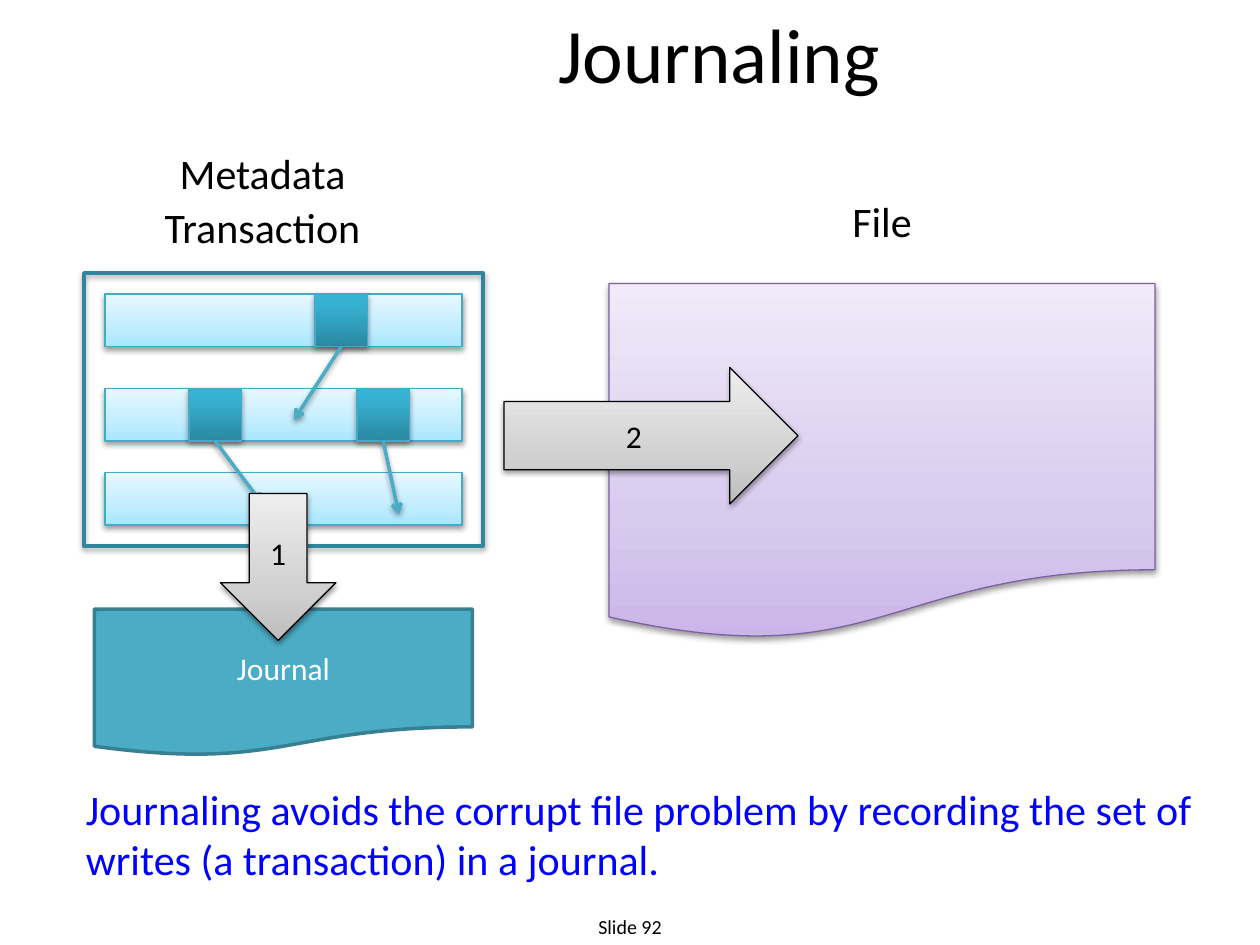
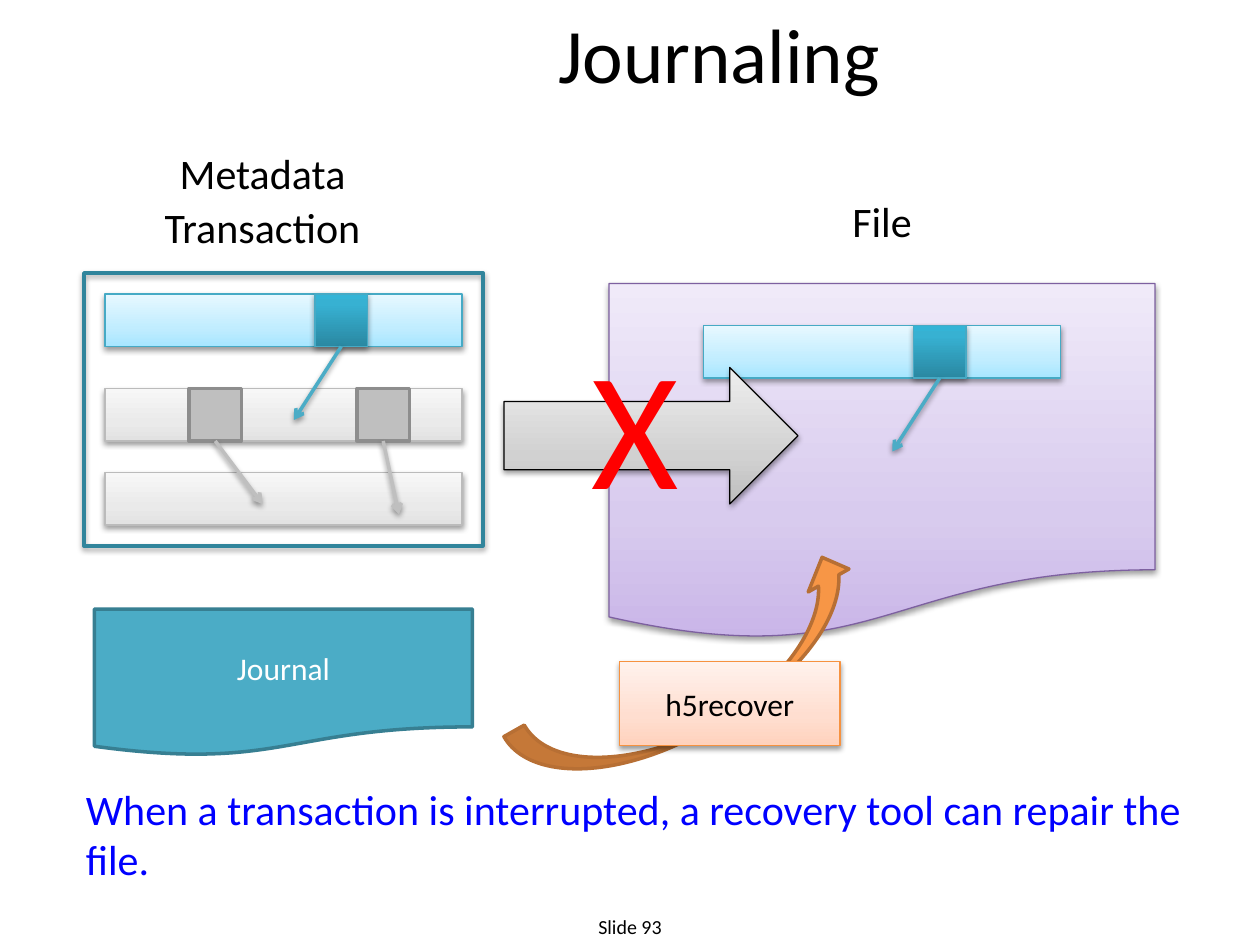
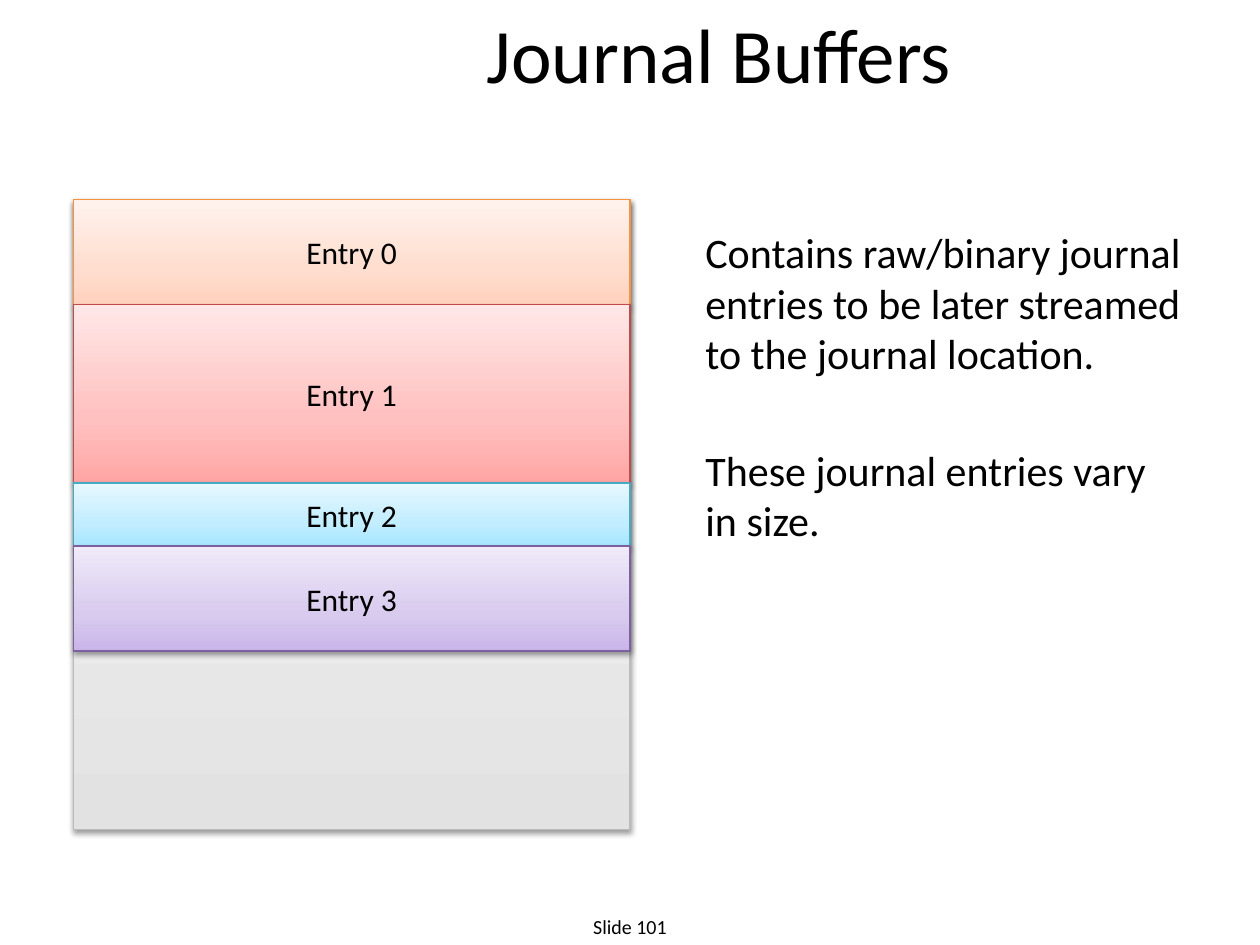
from collections import namedtuple

from pptx import Presentation
from pptx import util as u
from pptx.dml.color import RGBColor
from pptx.enum import shapes, text
from pptx.oxml import parse_xml
from pptx.oxml.ns import nsdecls

Style = namedtuple("Style", "fills line width middle", defaults=(0.75, 35))

GRID = u.Cm(2.54) // 12
FONT = "Calibri"
BLACK = RGBColor(0x00, 0x00, 0x00)
WHITE = RGBColor(0xFF, 0xFF, 0xFF)
BLUE = RGBColor(0x00, 0x00, 0xFF)
RED = RGBColor(0xFF, 0x00, 0x00)
TEAL = RGBColor(0x4B, 0xAC, 0xC6)
TEAL_EDGE = RGBColor(0x46, 0xAA, 0xC5)
TEAL_FRAME = RGBColor(0x31, 0x85, 0x9C)
TEAL_DARK = RGBColor(0x37, 0x7F, 0x92)
GREY = RGBColor(0xBF, 0xBF, 0xBF)
GREY_EDGE = RGBColor(0xBB, 0xBB, 0xBB)
GREY_DARK = RGBColor(0x8D, 0x8D, 0x8D)
PURPLE_EDGE = RGBColor(0x7D, 0x60, 0xA0)
ORANGE = RGBColor(0xF7, 0x96, 0x46)
ORANGE_EDGE = RGBColor(0xF6, 0x92, 0x40)
ORANGE_DARK = RGBColor(0xB7, 0x6F, 0x34)
RED_EDGE = RGBColor(0xBF, 0x4C, 0x48)
PURPLES = (RGBColor(0xC9, 0xB5, 0xE8), RGBColor(0xD8, 0xCB, 0xEE), RGBColor(0xF0, 0xEA, 0xF9))
LIGHT_TEALS = (RGBColor(0xA7, 0xE6, 0xFF), RGBColor(0xC1, 0xED, 0xFF), RGBColor(0xE7, 0xF8, 0xFF))
DEEP_TEALS = (RGBColor(0x2A, 0x88, 0xA2), RGBColor(0x37, 0xB1, 0xD2), RGBColor(0x34, 0xB4, 0xD6))
LIGHT_GREYS = (RGBColor(0xE2, 0xE2, 0xE2), RGBColor(0xEA, 0xEA, 0xEA), RGBColor(0xF7, 0xF7, 0xF7))
MID_GREYS = (RGBColor(0xBD, 0xBD, 0xBD), RGBColor(0xD1, 0xD1, 0xD1), RGBColor(0xEE, 0xEE, 0xEE))
PEACHES = (RGBColor(0xFF, 0xD2, 0xBD), RGBColor(0xFF, 0xDE, 0xD0), RGBColor(0xFF, 0xF2, 0xED))
PINKS = (RGBColor(0xFF, 0xA6, 0xA5), RGBColor(0xFF, 0xC0, 0xBF), RGBColor(0xFF, 0xE7, 0xE7))

PURPLE_STYLE = Style(PURPLES, PURPLE_EDGE)
ROW_STYLE = Style(LIGHT_TEALS, TEAL_EDGE)
CELL_STYLE = Style(DEEP_TEALS, TEAL_EDGE, middle=80)
LOST_ROW_STYLE = Style(LIGHT_GREYS, GREY_EDGE)
LOST_CELL_STYLE = Style((GREY,), GREY_DARK, 2)
FRAME_STYLE = Style((), TEAL_FRAME, 2)
JOURNAL_STYLE = Style((TEAL,), TEAL_DARK, 2)
STEP_STYLE = Style(MID_GREYS, BLACK)
RECOVERY_STYLE = Style((ORANGE,), ORANGE_DARK, 2)
PEACH_STYLE = Style(PEACHES, ORANGE_EDGE)
PINK_STYLE = Style(PINKS, RED_EDGE)

VALID = (ROW_STYLE, CELL_STYLE, TEAL)
LOST = (LOST_ROW_STYLE, LOST_CELL_STYLE, GREY)

SHADOW = (
    f'<a:effectLst {nsdecls("a")}><a:outerShdw blurRad="40000" dist="20000" dir="5400000" '
    'rotWithShape="0"><a:srgbClr val="000000"><a:alpha val="38000"/></a:srgbClr>'
    "</a:outerShdw></a:effectLst>"
)
ARROWHEAD = f'<a:tailEnd {nsdecls("a")} type="arrow"/>'
KIND = shapes.MSO_SHAPE


def draw_shape(slide, box, kind=None, style=None):
    lengths = [round(GRID * cells) for cells in box]
    if kind is None:
        return slide.shapes.add_textbox(*lengths)
    shape = slide.shapes.add_shape(kind, *lengths)
    properties = shape._element.spPr
    if len(style.fills) == 3:
        stops = "".join(
            f'<a:gs pos="{position * 1000}"><a:srgbClr val="{color}"/></a:gs>'
            for position, color in zip((0, style.middle, 100), style.fills)
        )
        properties.insert(2, parse_xml(
            f'<a:gradFill {nsdecls("a")} rotWithShape="1"><a:gsLst>{stops}</a:gsLst>'
            '<a:lin ang="16200000" scaled="0"/></a:gradFill>'
        ))
    elif style.fills:
        shape.fill.solid()
        shape.fill.fore_color.rgb = style.fills[0]
    else:
        shape.fill.background()
    shape.line.color.rgb = style.line
    shape.line.width = u.Pt(style.width)
    if len(style.fills) == 1:
        shape.shadow.inherit = False
    else:
        properties.append(parse_xml(SHADOW))
    return shape


def write_text(shape, *lines, size=18, color=BLACK, align=text.PP_ALIGN.CENTER,
               anchor=text.MSO_ANCHOR.MIDDLE, line_spacing=1.0, gap=0):
    frame = shape.text_frame
    frame.word_wrap = True
    frame.auto_size = text.MSO_AUTO_SIZE.NONE
    frame.vertical_anchor = anchor
    for index, line in enumerate(lines):
        paragraph = frame.add_paragraph() if index else frame.paragraphs[0]
        paragraph.text = line
        paragraph.alignment = align
        paragraph.line_spacing = line_spacing
        paragraph.space_before = u.Pt(gap if index else 0)
        paragraph.font.name = FONT
        paragraph.font.size = u.Pt(size)
        paragraph.font.color.rgb = color


TOP = text.MSO_ANCHOR.TOP
LEFT = text.PP_ALIGN.LEFT

presentation = Presentation()
presentation.slide_width = u.Cm(25.4)
presentation.slide_height = u.Cm(19.05)
layout = presentation.slide_layouts.get_by_name("Title Only")
layout_title = layout.placeholders[0]
layout_title.left, layout_title.top = GRID * 17, 0
layout_title.width, layout_title.height = GRID * 103, GRID * 10

for title, number in (("Journaling", 92), ("Journaling", 93), ("Journal Buffers", 101)):
    slide = presentation.slides.add_slide(layout)
    write_text(slide.shapes.title, title, size=44)
    write_text(draw_shape(slide, (48, 87, 24, 3)), f"Slide {number}",
               size=11.4, anchor=TOP, line_spacing=0.8)

writing_slide, recovery_slide, buffer_slide = presentation.slides

link_down = (8, 4.5, 6)
link_next = (24, 1.5, 7)
link_back = (20, -4.5, 7)
journaling = (
    (
        writing_slide,
        "Journaling avoids the corrupt file problem by recording the set of writes "
        "(a transaction) in a journal.",
        ((10, 45, VALID, ()), (10, 37, VALID, (link_down, link_next)),
         (10, 28, VALID, (link_back,))),
    ),
    (
        recovery_slide,
        "When a transaction is interrupted, a recovery tool can repair the file.",
        ((10, 45, LOST, ()), (10, 37, LOST, (link_down, link_next)),
         (10, 28, VALID, (link_back,)), (67, 31, VALID, (link_back,))),
    ),
)

step_arrows = []
for slide, message, rows in journaling:
    draw_shape(slide, (58, 27, 52, 34), KIND.FLOWCHART_DOCUMENT, PURPLE_STYLE)
    write_text(draw_shape(slide, (58, 18, 52, 7)), "File", size=24, anchor=TOP)
    write_text(draw_shape(slide, (4, 14, 42, 11)), "Metadata", "Transaction",
               size=24, anchor=TOP, line_spacing=0.9, gap=5)
    for left, top, (row_style, cell_style, link_color), links in rows:
        draw_shape(slide, (left, top, 34, 5), KIND.RECTANGLE, row_style)
        for offset, across, down in links:
            draw_shape(slide, (left + offset, top, 5, 5), KIND.RECTANGLE, cell_style)
            x, y = left + offset + 2.5, top + 5
            ends = [round(GRID * cells) for cells in (x, y, x + across, y + down)]
            link = slide.shapes.add_connector(shapes.MSO_CONNECTOR.STRAIGHT, *ends)
            link.line.color.rgb = link_color
            link.line.width = u.Pt(2)
            link.line._get_or_add_ln().append(parse_xml(ARROWHEAD))
            link._element.spPr.append(parse_xml(SHADOW))
    draw_shape(slide, (8, 26, 38, 26), KIND.RECTANGLE, FRAME_STYLE)
    journal = draw_shape(slide, (9, 58, 36, 14), KIND.FLOWCHART_DOCUMENT, JOURNAL_STYLE)
    write_text(journal, "Journal", color=WHITE)
    write_text(draw_shape(slide, (7, 74, 109, 11)), message,
               size=24, color=BLUE, align=LEFT, anchor=TOP)
    step_arrows.append(draw_shape(slide, (48, 35, 28, 13), KIND.RIGHT_ARROW, STEP_STYLE))

write_text(step_arrows[0], "2")
journal_arrow = draw_shape(writing_slide, (21, 47, 11, 14), KIND.DOWN_ARROW, STEP_STYLE)
write_text(journal_arrow, "1")

write_text(draw_shape(recovery_slide, (50, 30, 21, 21)), "X", size=96, color=RED, anchor=TOP)
recovery_arrow = draw_shape(recovery_slide, (47.8, 60.5, 37, 8.9),
                            KIND.CURVED_UP_ARROW, RECOVERY_STYLE)
recovery_arrow.rotation = 330.6
tool = draw_shape(recovery_slide, (59, 63, 21, 8), KIND.RECTANGLE, PEACH_STYLE)
write_text(tool, "h5recover")

draw_shape(buffer_slide, (7, 19, 53, 60), KIND.RECTANGLE, LOST_ROW_STYLE)
write_text(draw_shape(buffer_slide, (66, 21, 48, 43)),
           "Contains raw/binary journal entries to be later streamed to the journal location.",
           "These journal entries vary in size.",
           size=24, align=LEFT, anchor=TOP, gap=38)
entry_top = 19
entries = ((10, PEACH_STYLE), (17, PINK_STYLE), (6, ROW_STYLE), (10, PURPLE_STYLE))
for index, (height, style) in enumerate(entries):
    entry = draw_shape(buffer_slide, (7, entry_top, 53, height), KIND.RECTANGLE, style)
    write_text(entry, f"Entry {index}")
    entry_top += height

presentation.save("out.pptx")
